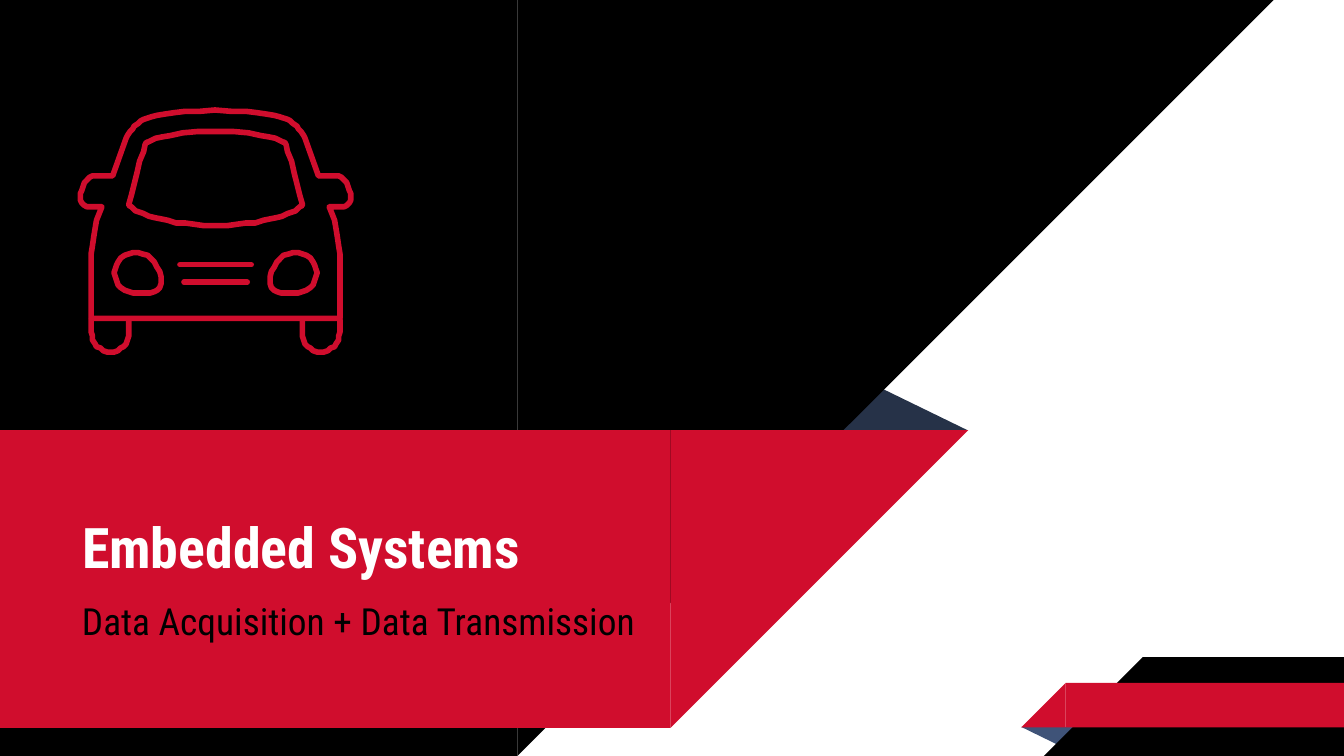
from lxml.etree import SubElement
from pptx import Presentation
from pptx.dml.color import RGBColor
from pptx.enum.shapes import MSO_CONNECTOR, MSO_SHAPE
from pptx.enum.text import MSO_ANCHOR, MSO_AUTO_SIZE, PP_ALIGN
from pptx.oxml.ns import qn
from pptx.util import Cm, Pt

COLORS = {"black": "000000", "red": "D00D2D", "white": "FFFFFF",
          "navy": "263248", "blue": "3F5378"}
FONT = "Roboto Condensed"
SLIDE_W, SLIDE_H = 25.4, 14.29

# Car outlines on a grid 201 units wide; the halves run down the left side.
CAR_W = 201
BODY_HALF = [
    (100.5, 0), (89, 1), (78, 1), (70, 2), (63, 3), (57, 4), (53, 5), (50, 6),
    (47, 7), (45, 8), (43, 10), (40, 12), (39, 14), (37, 16), (35, 19),
    (34, 21), (24, 49), (11, 49), (9, 49), (7, 50), (5, 52), (3, 54), (2, 57),
    (1, 60), (0, 62), (0, 65), (0, 67), (1, 69), (2, 70), (3, 71), (5, 72),
    (7, 72), (16, 72), (12, 82), (11, 88), (10, 94), (9, 101), (8, 107),
    (8, 155)]
WINDSCREEN_HALF = [
    (100.5, 16), (87, 16), (76, 17), (67, 19), (61, 20), (56, 21), (52, 23),
    (50, 24), (49, 24), (48, 26), (47, 31), (44, 38), (42, 47), (38, 63),
    (36, 70), (36, 71), (38, 72), (39, 73), (41, 75), (44, 76), (47, 77),
    (51, 79), (55, 80), (60, 81), (65, 82), (71, 84), (78, 84), (85, 85),
    (92, 86), (100.5, 86)]
WHEEL = [
    (8, 156), (8, 165), (9, 168), (9, 171), (11, 174), (12, 176), (15, 177),
    (17, 179), (20, 180), (25, 180), (28, 179), (30, 177), (32, 176),
    (34, 174), (35, 171), (36, 168), (36, 156)]
HEADLAMP = [
    (43, 136), (39, 136), (36, 135), (33, 134), (30, 132), (28, 130),
    (27, 127), (26, 124), (25, 121), (26, 118), (27, 115), (28, 113),
    (30, 110), (33, 108), (36, 107), (39, 106), (43, 106), (46, 107),
    (50, 108), (52, 110), (55, 113), (57, 117), (59, 120), (60, 124),
    (60, 129), (59, 132), (57, 134), (55, 135), (52, 136)]
GRILLE = [(74, 115), (77, 128)]


def rgb(name):
    return RGBColor.from_string(COLORS[name])


def add_block(s, kind, box, color, rotation=0, flip=False):
    sp = s.shapes.add_shape(kind, *map(Cm, box))
    sp.shadow.inherit = False
    sp.fill.solid()
    sp.fill.fore_color.rgb = rgb(color)
    sp.line.fill.background()
    sp.rotation = rotation
    if flip:
        sp.element.spPr.find(qn("a:xfrm")).set("flipH", "1")
    return sp


def add_fold(s, box, color, rotation=0):
    sp = add_block(s, MSO_SHAPE.ISOSCELES_TRIANGLE, box, color, rotation)
    sp.adjustments[0] = 0.324


def add_band(s, box, color, slant_left=False):
    """Rectangle with a 45-degree end: under-cut on the right or sloping up from the left."""
    x, y, w, h = box
    add_block(s, MSO_SHAPE.RECTANGLE, box, color)
    tip = (x - h if slant_left else x + w, y, h, h)
    add_block(s, MSO_SHAPE.RIGHT_TRIANGLE, tip, color,
              rotation=0 if slant_left else 180, flip=True)


def set_text(sp, text, size, color, bold=False, anchor=MSO_ANCHOR.TOP, after=0):
    tf = sp.text_frame
    tf.word_wrap = True
    tf.auto_size = MSO_AUTO_SIZE.NONE
    tf.vertical_anchor = anchor
    tf.margin_left = tf.margin_right = tf.margin_top = tf.margin_bottom = Cm(0.25)
    p = tf.paragraphs[0]
    p.alignment = PP_ALIGN.LEFT
    p.space_before, p.space_after = Pt(0), Pt(after)
    r = p.add_run()
    r.text = text
    r.font.name, r.font.size, r.font.bold = FONT, Pt(size), bold
    r.font.color.rgb = rgb(color)


def add_heading(s, box, title, subtitle):
    x, y, w, h = box
    title_h = 3.23
    sp = s.shapes.title
    sp.left, sp.top, sp.width, sp.height = map(Cm, (x, y, w, title_h))
    set_text(sp, title, 30, "white", bold=True, anchor=MSO_ANCHOR.BOTTOM)
    sp.element.getparent().append(sp.element)  # bring in front of the bands
    sub_y = y + title_h - 0.16
    sp = s.shapes.add_textbox(*map(Cm, (x, sub_y, w, y + h - sub_y)))
    set_text(sp, subtitle, 20, "black", after=10)


def style_stroke(sp):
    sp.line.color.rgb = rgb("red")
    sp.line.width = Pt(3)
    ln = sp.line._get_or_add_ln()
    ln.set("cap", "rnd")
    SubElement(ln, qn("a:round"))


def mirror(points):
    return [(CAR_W - x, y) for x, y in points]


def add_car(s, x, y, w):
    unit = w / CAR_W

    def outline(points, close=True):
        builder = s.shapes.build_freeform(*points[0], scale=Cm(unit))
        builder.add_line_segments(points[1:], close=close)
        sp = builder.convert_to_shape(Cm(x), Cm(y))
        sp.shadow.inherit = False
        sp.fill.background()
        style_stroke(sp)

    for half in (BODY_HALF, WINDSCREEN_HALF):
        outline(half + mirror(half)[::-1])
    for part, close in ((WHEEL, False), (HEADLAMP, True)):
        outline(part, close)
        outline(mirror(part), close)
    for gx, gy in GRILLE:
        bar = s.shapes.add_connector(
            MSO_CONNECTOR.STRAIGHT, Cm(x + gx * unit), Cm(y + gy * unit),
            Cm(x + (CAR_W - gx) * unit), Cm(y + gy * unit))
        style_stroke(bar)
        SubElement(bar.element.spPr, qn("a:effectLst"))


def add_background(s):
    add_fold(s, (15.82, 7.32, 2.46, 0.81), "navy")
    add_band(s, (0, 0, 9.78, SLIDE_H), "black")
    add_band(s, (0, 8.13, 12.67, 5.63), "red")
    add_fold(s, (19.3, 13.74, 1.09, 0.36), "blue", rotation=180)
    add_band(s, (21.6, 12.42, SLIDE_W - 21.6, SLIDE_H - 12.42), "black", slant_left=True)
    add_band(s, (20.14, 12.91, SLIDE_W - 20.14, 0.84), "red", slant_left=True)


def main():
    prs = Presentation()
    prs.slide_width, prs.slide_height = Cm(SLIDE_W), Cm(SLIDE_H)
    s = prs.slides.add_slide(prs.slide_layouts[5])
    add_background(s)
    add_heading(s, (1.3, 7.98, 11.38, 5.25), "Embedded Systems",
                "Data Acquisition + Data Transmission")
    add_car(s, 1.52, 2.08, 5.11)
    prs.save("out.pptx")


if __name__ == "__main__":
    main()
